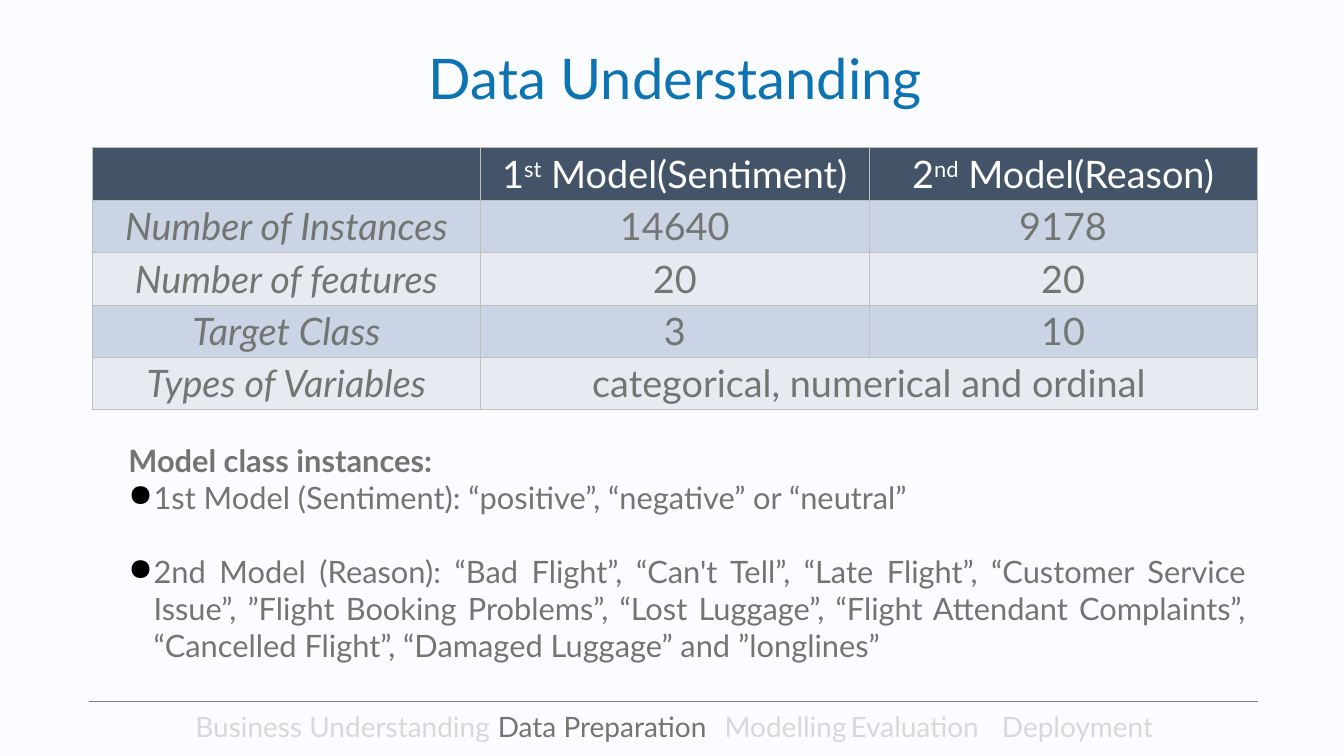
import pptx
import pptx.dml.color
import pptx.enum.shapes
import pptx.enum.text
import pptx.oxml
import pptx.oxml.ns
import pptx.util
import lxml.etree

Cm = pptx.util.Cm
Pt = pptx.util.Pt
ALIGN = pptx.enum.text.PP_ALIGN
ANCHOR = pptx.enum.text.MSO_ANCHOR
qn = pptx.oxml.ns.qn

GREY, PALE, WHITE = "737572", "D8D8D8", "FFFFFF"
HEADER_FILL, BANDS = "445468", ("CAD4E4", "E6EBF2")


def colour(hex_string):
    return pptx.dml.color.RGBColor.from_string(hex_string)


class SlideBuilder:
    font = "Lato"
    border = "BFBFBF"

    def __init__(self, slide, background):
        self.slide = slide
        slide.background.fill.solid()
        slide.background.fill.fore_color.rgb = colour(background)

    def style(self, run, size, hex_string, bold=False, italic=False):
        run.font.name = self.font
        run.font.size = Pt(size)
        run.font.color.rgb = colour(hex_string)
        run.font.bold = bold
        run.font.italic = italic

    def runs(self, paragraph, parts, size, align=ALIGN.CENTER):
        paragraph.alignment = align
        for words, look in parts:
            run = paragraph.add_run()
            run.text = words
            self.style(run, size, **look)

    def text(self, left, top, width, height, inset=0.25, anchor=ANCHOR.TOP):
        frame = self.slide.shapes.add_textbox(Cm(left), Cm(top), Cm(width), Cm(height)).text_frame
        frame.word_wrap = True
        frame.vertical_anchor = anchor
        frame.margin_left = frame.margin_right = Cm(inset)
        frame.margin_top = frame.margin_bottom = Cm(inset / 2)
        return frame

    def bullet(self, paragraph, hanging):
        properties = paragraph._p.get_or_add_pPr()
        properties.set("marL", str(Cm(hanging)))
        properties.set("indent", str(-Cm(hanging)))
        bullet_colour = lxml.etree.SubElement(properties, qn("a:buClr"))
        lxml.etree.SubElement(bullet_colour, qn("a:srgbClr")).set("val", "000000")
        lxml.etree.SubElement(properties, qn("a:buChar")).set("char", "●")

    def rule(self, left, right, y, hex_string):
        rule = self.slide.shapes.add_connector(
            pptx.enum.shapes.MSO_CONNECTOR.STRAIGHT, Cm(left), Cm(y), Cm(right), Cm(y))
        rule.line.color.rgb = colour(hex_string)
        rule.line.width = Pt(1)
        lxml.etree.SubElement(rule._element.spPr, qn("a:effectLst"))

    def cell(self, cell, parts, fill, size):
        properties = cell._tc.get_or_add_tcPr()
        for side in ("a:lnL", "a:lnR", "a:lnT", "a:lnB"):
            edge = lxml.etree.SubElement(properties, qn(side))
            edge.set("w", str(Pt(0.75)))
            edge_fill = lxml.etree.SubElement(edge, qn("a:solidFill"))
            lxml.etree.SubElement(edge_fill, qn("a:srgbClr")).set("val", self.border)
        cell.fill.solid()
        cell.fill.fore_color.rgb = colour(fill)
        cell.vertical_anchor = ANCHOR.MIDDLE
        self.runs(cell.text_frame.paragraphs[0], parts, size)

    def table(self, left, top, width, row_height, headings, rows, size):
        row_count, column_count = len(rows) + 1, len(headings)
        table = self.slide.shapes.add_table(
            row_count, column_count, Cm(left), Cm(top), Cm(width), Cm(row_height * row_count)).table
        for column, heading in enumerate(headings):
            parts = [(words, {"hex_string": WHITE}) for words in heading]
            cell = table.cell(0, column)
            self.cell(cell, parts, HEADER_FILL, size)
            for ordinal in cell.text_frame.paragraphs[0].runs[1:2]:
                ordinal._r.get_or_add_rPr().set("baseline", "30000")
        for row, values in enumerate(rows, 1):
            for column in range(column_count):
                parts = [(value, {"hex_string": GREY, "italic": column == 0})
                         for value in values[column:column + 1]]
                self.cell(table.cell(row, column), parts, BANDS[(row - 1) % 2], size)
            if len(values) < column_count:
                table.cell(row, len(values) - 1).merge(table.cell(row, column_count - 1))


def main():
    presentation = pptx.Presentation()
    presentation.slide_width = Cm(67.72)
    presentation.slide_height = Cm(38.1)
    page = SlideBuilder(presentation.slides.add_slide(presentation.slide_layouts[6]), "FAFCFF")

    page.rule(4.47, 63.4, 35.36, "7F7F7F")

    headings = [(), ("1", "st", " Model(Sentiment)"), ("2", "nd", " Model(Reason)")]
    rows = [
        ("Number of Instances", "14640", "9178"),
        ("Number of features", "20", "20"),
        ("Target Class", "3", "10"),
        ("Types of Variables", "categorical, numerical and ordinal"),
    ]
    page.table(4.65, 7.44, 58.7, 2.64, headings, rows, 54)

    title = page.text(21.11, 2.06, 25.86, 3.68)
    page.runs(title.paragraphs[0], [("Data Understanding", {"hex_string": "0D73B2"})], 80)

    stages = page.text(0.18, 35.43, 67.59, 2.59, 0.5, ANCHOR.MIDDLE).paragraphs[0]
    stages.line_spacing = 0.9
    page.runs(stages, [
        ("Business Understanding", {"hex_string": PALE}),
        ("\tData Preparation", {"hex_string": GREY}),
        ("\tModelling\tEvaluation\tDeployment", {"hex_string": PALE}),
    ], 40)

    classes = page.text(5.97, 22, 57.35, 9.09, 0.5)
    page.runs(classes.paragraphs[0],
              [("Model class instances:", {"hex_string": GREY, "bold": True})], 44, ALIGN.JUSTIFY)
    models = [
        ("1st Model (Sentiment): “positive”, “negative” or “neutral”", 0),
        ("2nd Model (Reason): “Bad Flight”, “Can't Tell”, “Late Flight”, “Customer Service Issue”, "
         "”Flight Booking Problems”, “Lost Luggage”, “Flight Attendant Complaints”, "
         "“Cancelled Flight”, “Damaged Luggage” and ”longlines”", 53),
    ]
    for words, gap in models:
        model = classes.add_paragraph()
        model.space_before = Pt(gap)
        page.bullet(model, 1.27)
        page.runs(model, [(words, {"hex_string": GREY})], 44, ALIGN.JUSTIFY)

    presentation.save("out.pptx")


if __name__ == "__main__":
    main()
